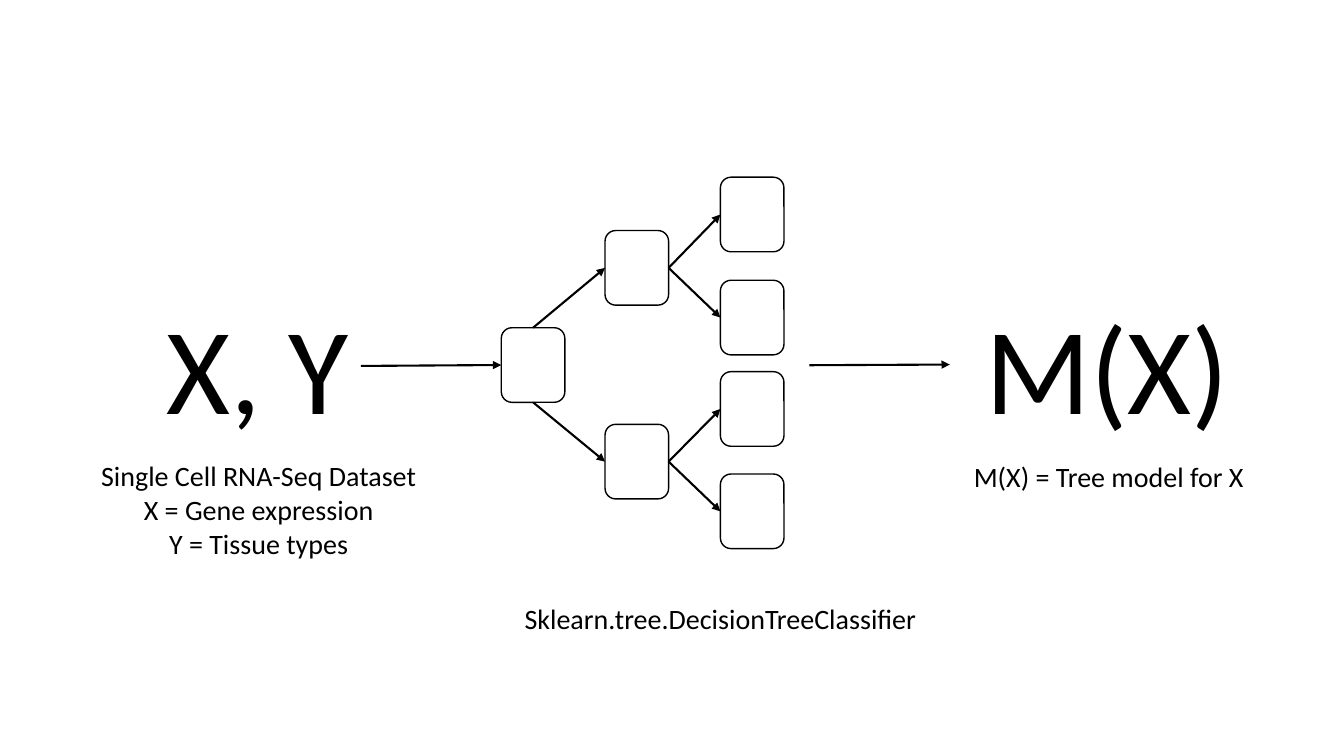
"""Draw a slide on fitting a decision tree to single cell data."""
from dataclasses import dataclass

from lxml.etree import SubElement
from pptx import Presentation
from pptx.dml.color import RGBColor
from pptx.enum.shapes import MSO_CONNECTOR, MSO_SHAPE
from pptx.enum.text import MSO_AUTO_SIZE, PP_ALIGN
from pptx.oxml.ns import qn
from pptx.shapes.autoshape import Shape
from pptx.shapes.connector import Connector
from pptx.slide import Slide
from pptx.util import Pt

COLORS = {"ink": "000000", "paper": "FFFFFF"}
FONT = "Calibri"
WIDTH, HEIGHT = 45.4, 53.3
TOP, LEFT, BOTTOM, RIGHT = range(4)


@dataclass
class Node:
    name: str
    left: float
    top: float


@dataclass
class Edge:
    start: str
    side: int
    end: str


@dataclass
class Label:
    name: str
    text: str
    left: float
    top: float
    width: float
    height: float
    size: float = 20
    wrap: bool = True


NODES = [
    Node("root", 358.1, 234.1),
    Node("upper", 432.2, 164.7),
    Node("lower", 432.2, 303.1),
    Node("leaf 1", 514.6, 126.6),
    Node("leaf 2", 514.6, 200.2),
    Node("leaf 3", 514.6, 265.5),
    Node("leaf 4", 514.6, 338.6),
]
EDGES = [
    Edge("root", TOP, "upper"),
    Edge("root", BOTTOM, "lower"),
    Edge("upper", RIGHT, "leaf 1"),
    Edge("upper", RIGHT, "leaf 2"),
    Edge("lower", RIGHT, "leaf 3"),
    Edge("lower", RIGHT, "leaf 4"),
    Edge("input", RIGHT, "root"),
]
LABELS = [
    Label("input", "X, Y", 111.6, 204.5, 146.2, 113.8, size=88, wrap=False),
    Label("data", "Single Cell RNA-Seq Dataset\nX = Gene expression\nY = Tissue types",
          55.2, 324.3, 259.2, 80),
    Label("method", "Sklearn.tree.DecisionTreeClassifier", 350.4, 426.2, 328.4, 31.6),
    Label("output", "M(X)", 696.8, 204.5, 190, 113.8, size=88, wrap=False),
    Label("model", "M(X) = Tree model for X", 662.4, 324.3, 259.2, 31.6),
]


def color(name: str) -> RGBColor:
    return RGBColor.from_string(COLORS[name])


def write(shape: Shape, text: str, *, size: float, wrap: bool, align: PP_ALIGN) -> None:
    frame = shape.text_frame
    frame.word_wrap = wrap
    frame.auto_size = MSO_AUTO_SIZE.SHAPE_TO_FIT_TEXT
    frame.text = text
    for line in frame.paragraphs:
        line.alignment = align
        font = line.runs[0].font
        font.name, font.size = FONT, Pt(size)
        font.color.rgb = color("ink")


def draw_node(slide: Slide, node: Node) -> Shape:
    shape = slide.shapes.add_shape(
        MSO_SHAPE.ROUNDED_RECTANGLE, Pt(node.left), Pt(node.top), Pt(WIDTH), Pt(HEIGHT))
    shape.shadow.inherit = False
    shape.fill.solid()
    shape.fill.fore_color.rgb = color("paper")
    shape.line.color.rgb = color("ink")
    shape.line.width = Pt(1)
    return shape


def draw_label(slide: Slide, label: Label) -> Shape:
    shape = slide.shapes.add_textbox(
        Pt(label.left), Pt(label.top), Pt(label.width), Pt(label.height))
    align = PP_ALIGN.CENTER if label.wrap else PP_ALIGN.LEFT
    write(shape, label.text, size=label.size, wrap=label.wrap, align=align)
    return shape


def draw_arrow(slide: Slide, left: float, top: float, right: float, base: float) -> Connector:
    arrow = slide.shapes.add_connector(
        MSO_CONNECTOR.STRAIGHT, Pt(left), Pt(top), Pt(right), Pt(base))
    arrow.line.color.rgb = color("ink")
    arrow.line.width = Pt(1.5)
    SubElement(arrow.line._get_or_add_ln(), qn("a:tailEnd"), type="triangle")
    SubElement(arrow._element.spPr, qn("a:effectLst"))
    return arrow


def draw_edge(slide: Slide, edge: Edge, shapes: dict[str, Shape]) -> None:
    start, end = shapes[edge.start], shapes[edge.end]
    arrow = draw_arrow(slide, start.left.pt, start.top.pt, end.left.pt, end.top.pt)
    arrow.begin_connect(start, edge.side)
    arrow.end_connect(end, LEFT)


def main() -> None:
    deck = Presentation()
    deck.slide_width, deck.slide_height = Pt(960), Pt(540)
    slide = deck.slides.add_slide(deck.slide_layouts[6])
    shapes = {node.name: draw_node(slide, node) for node in NODES}
    shapes |= {label.name: draw_label(slide, label) for label in LABELS}
    for edge in EDGES:
        draw_edge(slide, edge, shapes)
    draw_arrow(slide, 578.2, 260.9, 678.5, 260.4)
    deck.save("out.pptx")


if __name__ == "__main__":
    main()
